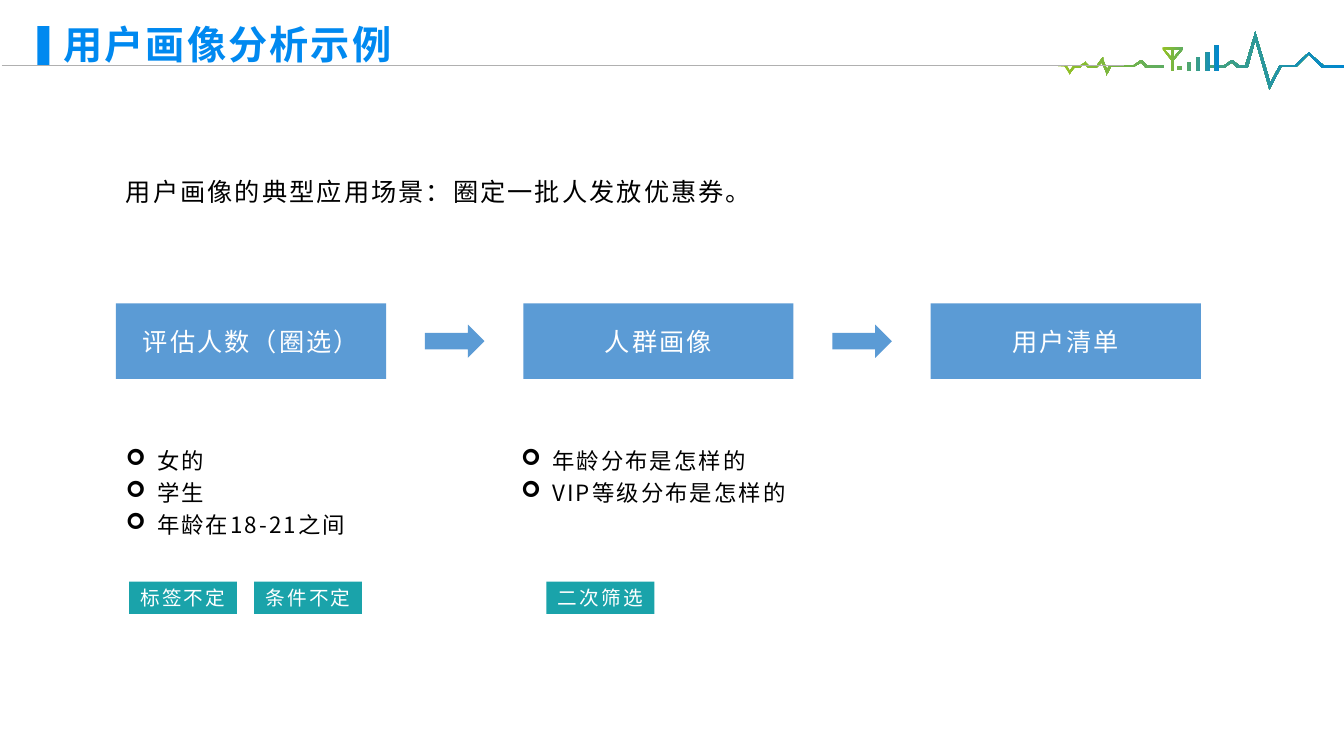
"""Build a slide on how a user portrait is applied, step by step."""
from lxml.etree import SubElement as Sub
from pptx import Presentation
from pptx.dml.color import RGBColor as Rgb
from pptx.enum.shapes import MSO_CONNECTOR as Link, MSO_SHAPE as Kind
from pptx.enum.text import MSO_ANCHOR as Anchor, PP_ALIGN as Align
from pptx.oxml.ns import qn
from pptx.util import Emu, Inches, Pt

TITLE = "用户画像分析示例"
INTRO = "用户画像的典型应用场景：圈定一批人发放优惠券。"
STEPS = ["评估人数（圈选）", "人群画像", "用户清单"]
LISTS = [["女的", "学生", "年龄在18-21之间"], ["年龄分布是怎样的", "VIP等级分布是怎样的"]]
TAGS = [("标签不定", 1.28), ("条件不定", 2.52), ("二次筛选", 5.42)]

FONT = "Noto Sans CJK SC"
BLUE, STEP, TEAL, GREY = "0089F0", "5B9BD5", "1AA3AA", "B0B0B0"
BLACK, WHITE, FADE = "000000", "FFFFFF", ("94C123", "0087CF")
LEFT, PITCH, WIDE, HIGH, TOP = 1.15, 4.04, 2.68, 0.75, 3.01
ARROW = (0.59, 0.33)
LIST_PITCH = 3.92

PULSE = [
    [(1313, 65), (1299, 53), (1298, 52), (1297, 53), (1284, 65), (1269, 65),
     (1260, 82), (1246, 35), (1245, 31), (1244, 35), (1235, 65), (1229, 65),
     (1223, 60), (1222, 60), (1221, 60), (1214, 65), (1201, 65), (1201, 67),
     (1215, 67), (1216, 66), (1222, 62), (1227, 67), (1237, 67), (1238, 66),
     (1245, 40), (1258, 85), (1259, 89), (1261, 85), (1271, 66), (1286, 66),
     (1298, 54), (1311, 67), (1333, 67), (1333, 65)],
    [(1133, 60), (1132, 60), (1131, 60), (1124, 65), (1100, 65), (1098, 69),
     (1094, 59), (1094, 57), (1092, 59), (1087, 66), (1081, 66), (1077, 62),
     (1077, 61), (1076, 62), (1071, 65), (1064, 65), (1064, 66), (1061, 70),
     (1058, 65), (1049, 65), (1049, 66), (1056, 66), (1060, 72), (1061, 74),
     (1062, 72), (1066, 67), (1072, 67), (1072, 66), (1076, 64), (1079, 67),
     (1087, 67), (1088, 67), (1093, 62), (1097, 72), (1097, 75), (1099, 72),
     (1102, 66), (1125, 66), (1132, 62), (1136, 67), (1154, 67), (1154, 65),
     (1138, 65)],
]
MAST = [
    [(1164, 49), (1164, 57), (1171, 49)],
    [(1155, 49), (1162, 57), (1162, 49)],
    [(1153, 47), (1173, 47), (1173, 49), (1164, 60), (1164, 70), (1162, 70),
     (1162, 60), (1153, 49)],
]
BARS = [(1168, 66, 1172, 69), (1178, 62, 1181, 70), (1187, 57, 1190, 70),
        (1196, 52, 1200, 70), (1205, 45, 1209, 70)]


def color(text):
    return Rgb.from_string(text)


def style(par, size, ink, bold=False):
    for run in par.runs:
        font = run.font
        font.size, font.bold, font.name = Pt(size), bold, FONT
        font.color.rgb = color(ink)
        props = run._r.get_or_add_rPr()
        props.set("spc", "150")
        Sub(props, qn("a:ea"), typeface=FONT)


def block(slide, kind, x, y, w, h, fill, text="", size=18):
    shape = slide.shapes.add_shape(kind, Inches(x), Inches(y), Inches(w), Inches(h))
    shape.shadow.inherit = False
    shape.fill.solid()
    shape.fill.fore_color.rgb = color(fill)
    shape.line.fill.background()
    if text:
        frame = shape.text_frame
        frame.text = text
        frame.vertical_anchor = Anchor.MIDDLE
        frame.margin_left = frame.margin_right = 0
        frame.paragraphs[0].alignment = Align.CENTER
        style(frame.paragraphs[0], size, WHITE)


def words(slide, x, y, w, h, lines, size, marks=False):
    box = slide.shapes.add_textbox(Inches(x), Inches(y), Inches(w), Inches(h))
    frame = box.text_frame
    frame.word_wrap = True
    frame.text = "\n".join(lines)
    for par in frame.paragraphs:
        style(par, size, BLACK)
        if marks:
            par.line_spacing = 1.2
            props = par._p.get_or_add_pPr()
            props.set("marL", str(Inches(0.31)))
            props.set("indent", str(-Inches(0.31)))
            Sub(props, qn("a:buFont"), typeface="Wingdings")
            Sub(props, qn("a:buChar"), char="➢")


def outline(slide, loops):
    pen = slide.shapes.build_freeform(*loops[0][0], scale=Emu(9144))
    for loop in loops:
        pen.move_to(*loop[0])
        pen.add_line_segments(loop[1:], close=True)
    shape = pen.convert_to_shape()
    shape.shadow.inherit = False
    shape.line.fill.background()
    shape.fill.gradient()
    shape.fill.gradient_angle = 0
    for stop, tint in zip(shape.fill.gradient_stops, FADE):
        stop.color.rgb = color(tint)


def header(slide):
    block(slide, Kind.RECTANGLE, 0.37, 0.26, 0.12, 0.39, BLUE)
    outline(slide, PULSE)
    bars = [[(l, t), (r, t), (r, b), (l, b)] for l, t, r, b in BARS]
    outline(slide, MAST + bars)
    y = Inches(0.65)
    rule = slide.shapes.add_connector(Link.STRAIGHT, Inches(0.02), y, Inches(11.15), y)
    rule.line.color.rgb = color(GREY)
    rule.line.width = Pt(1)
    Sub(rule._element.spPr, qn("a:effectLst"))
    title = slide.shapes.title
    title.left, title.top = Inches(0.56), Inches(0.21)
    title.width, title.height = Inches(8.62), Inches(0.5)
    frame = title.text_frame
    frame.text = TITLE
    frame.vertical_anchor = Anchor.MIDDLE
    frame.margin_left = frame.margin_right = Inches(0.07)
    frame.margin_top = frame.margin_bottom = Inches(0.04)
    par = frame.paragraphs[0]
    par.alignment, par.line_spacing = Align.LEFT, 0.9
    style(par, 28, BLUE, True)


def main():
    deck = Presentation()
    deck.slide_width, deck.slide_height = Inches(13.33), Inches(7.5)
    slide = deck.slides.add_slide(deck.slide_layouts[5])
    header(slide)
    words(slide, LEFT, 1.7, 9.78, 0.4, [INTRO], 18)
    w, h = ARROW
    for i, step in enumerate(STEPS):
        x = LEFT + i * PITCH
        block(slide, Kind.RECTANGLE, x, TOP, WIDE, HIGH, STEP, step)
        if i:
            gap = PITCH - WIDE
            block(slide, Kind.RIGHT_ARROW, x - (gap + w) / 2, TOP + (HIGH - h) / 2,
                  w, h, STEP)
    for i, lines in enumerate(LISTS):
        words(slide, LEFT + i * LIST_PITCH, 4.33, 2.91, 0.1 + 0.32 * len(lines),
              lines, 16, True)
    for text, x in TAGS:
        block(slide, Kind.RECTANGLE, x, 5.77, 1.07, 0.32, TEAL, text, 14)
    deck.save("out.pptx")


if __name__ == "__main__":
    main()
